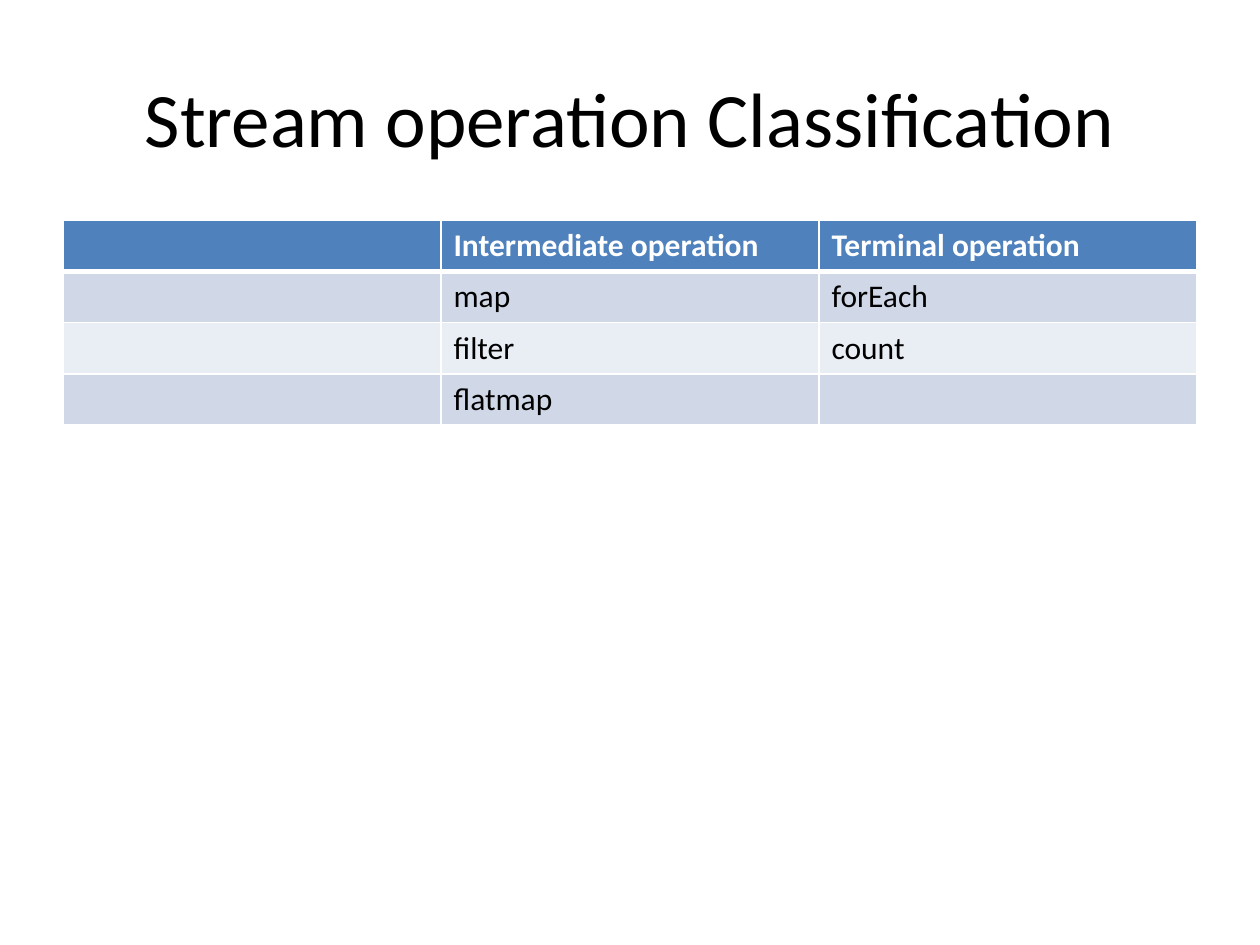
import pptx
import pptx.dml.color
import pptx.enum.text
import pptx.oxml.ns
import pptx.util
from lxml import etree

Inches = pptx.util.Inches
COLORS = {
    "text": "000000",
    "header": "4F81BD",
    "header_text": "FFFFFF",
    "odd_row": "D0D8E8",
    "even_row": "E9EDF4",
    "border": "FFFFFF",
}
OPERATIONS = [
    ["", "Intermediate operation", "Terminal operation"],
    ["", "map", "forEach"],
    ["", "filter", "count"],
    ["", "flatmap", ""],
]


def rgb(name):
    """Return the named colour."""
    return pptx.dml.color.RGBColor.from_string(COLORS[name])


def write_text(frame, text, size=18, color="text", bold=False, align=None):
    """Write one formatted paragraph into a text frame."""
    paragraph = frame.paragraphs[0]
    paragraph.alignment = align
    if not text:
        return
    run = paragraph.add_run()
    run.text = text
    run.font.name = "Calibri"
    run.font.size = pptx.util.Pt(size)
    run.font.bold = bold
    run.font.color.rgb = rgb(color)


def set_border(cell, side, width):
    """Draw one solid edge of a cell; side is L, R, T or B."""
    qn = pptx.oxml.ns.qn
    line = etree.SubElement(cell._tc.get_or_add_tcPr(), qn(f"a:ln{side}"),
                            w=str(pptx.util.Pt(width)))
    fill = etree.SubElement(line, qn("a:solidFill"))
    etree.SubElement(fill, qn("a:srgbClr"), val=COLORS["border"])


def add_title(slide, text, left, top, width, height):
    """Place the slide title in the given box."""
    title = slide.shapes.title
    title.left, title.top, title.width, title.height = left, top, width, height
    title.text_frame.vertical_anchor = pptx.enum.text.MSO_ANCHOR.MIDDLE
    write_text(title.text_frame, text, size=44,
               align=pptx.enum.text.PP_ALIGN.CENTER)


def add_operations_table(slide, rows, left, top, width, height):
    """Place a banded table with a header row in the given box."""
    table = slide.shapes.add_table(len(rows), len(rows[0]),
                                   left, top, width, height).table
    for row_index, row in enumerate(rows):
        is_header = row_index == 0
        band = "odd_row" if row_index % 2 else "even_row"
        for column_index, text in enumerate(row):
            cell = table.cell(row_index, column_index)
            for side in "LRTB":
                # The rule between header and body is thicker.
                thick = (row_index, side) in ((0, "B"), (1, "T"))
                set_border(cell, side, 3 if thick else 1)
            cell.fill.solid()
            cell.fill.fore_color.rgb = rgb("header" if is_header else band)
            write_text(cell.text_frame, text, bold=is_header,
                       color="header_text" if is_header else "text")


def build():
    """Build and save the presentation."""
    deck = pptx.Presentation()
    deck.slide_width, deck.slide_height = Inches(10), Inches(7.5)
    slide = deck.slides.add_slide(deck.slide_layouts.get_by_name("Title Only"))
    margin, content_width = Inches(0.5), Inches(9)
    add_title(slide, "Stream operation Classification",
              margin, Inches(0.3), content_width, Inches(1.25))
    add_operations_table(slide, OPERATIONS,
                         margin, Inches(1.75), content_width, Inches(1.62))
    deck.save("out.pptx")


build()
